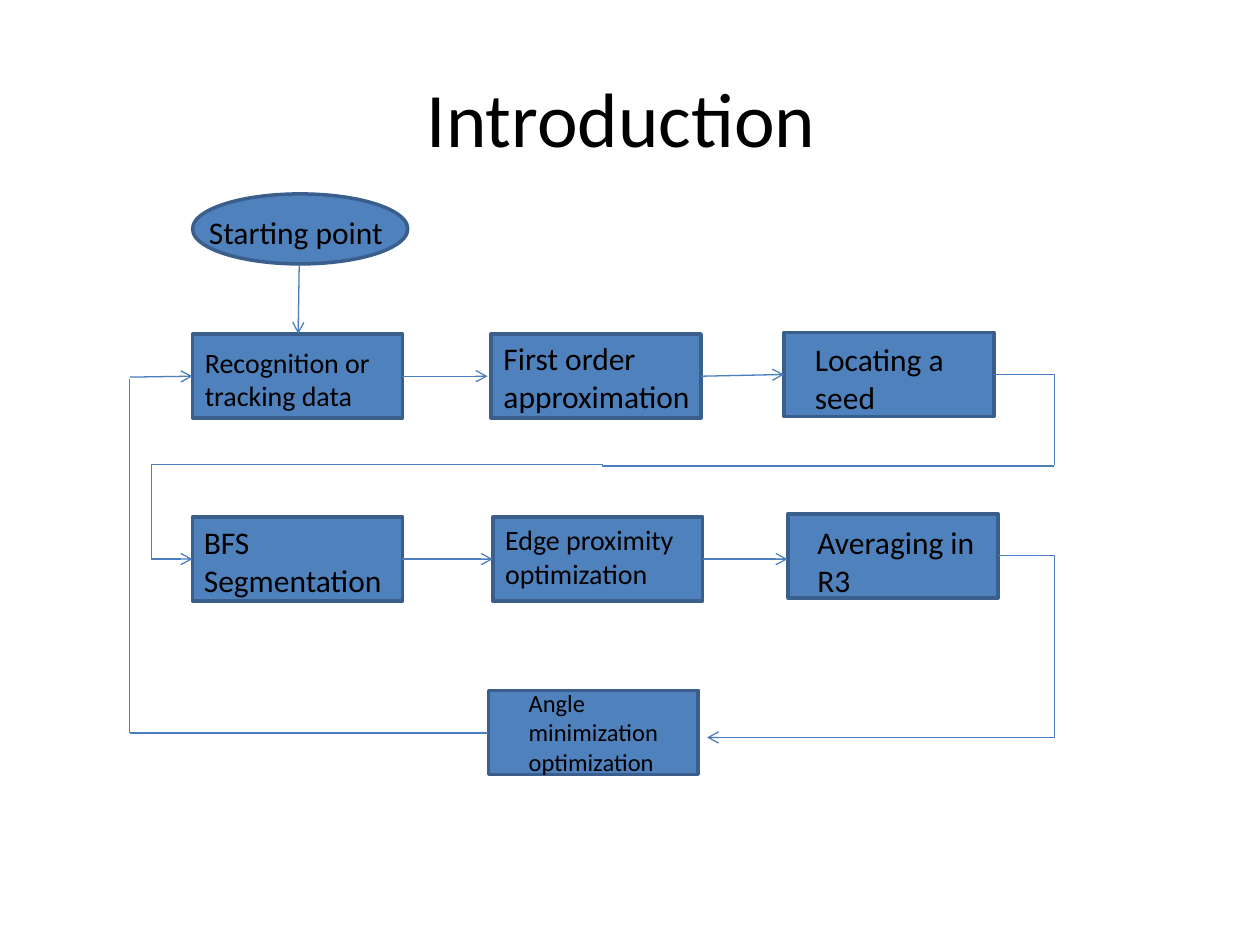
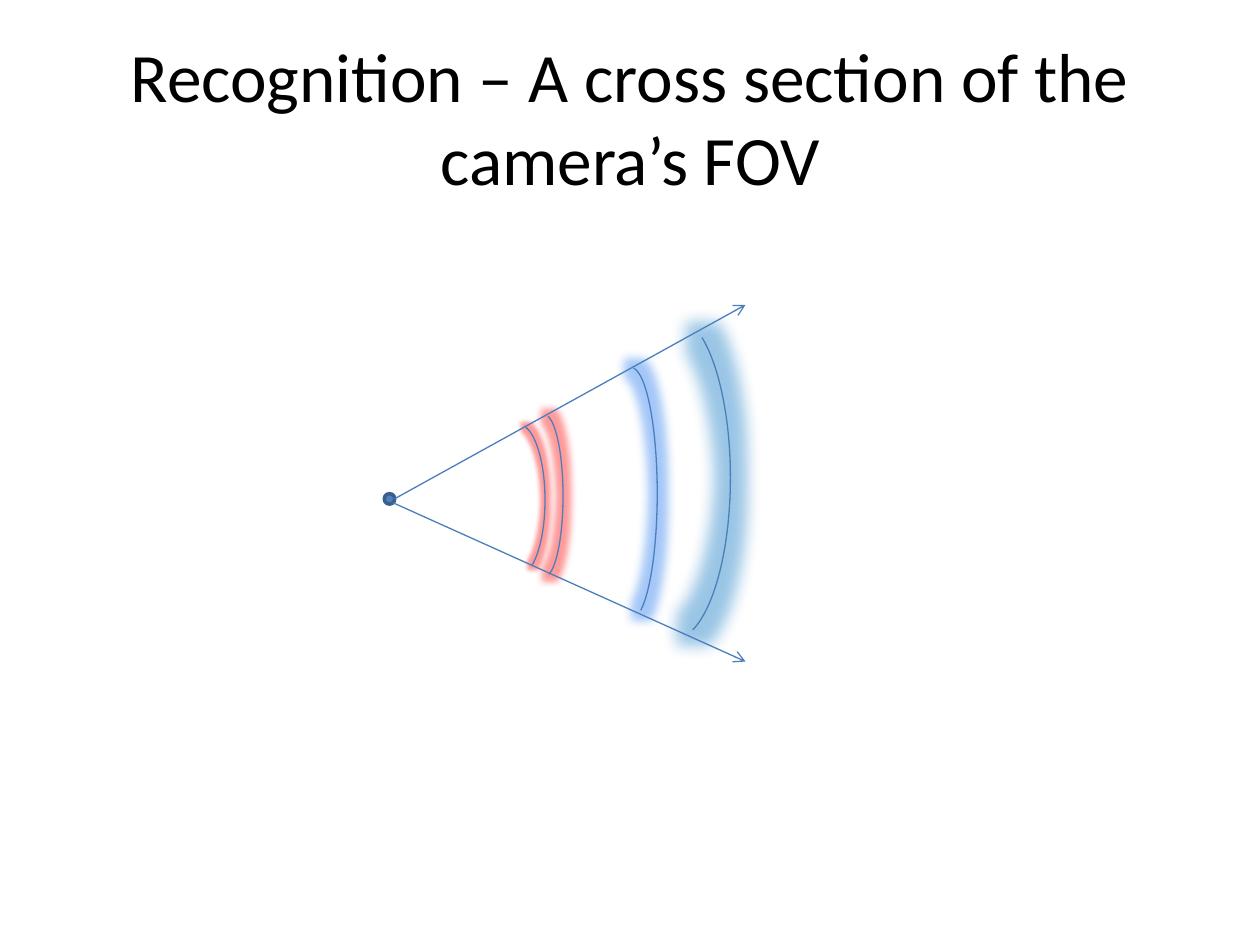
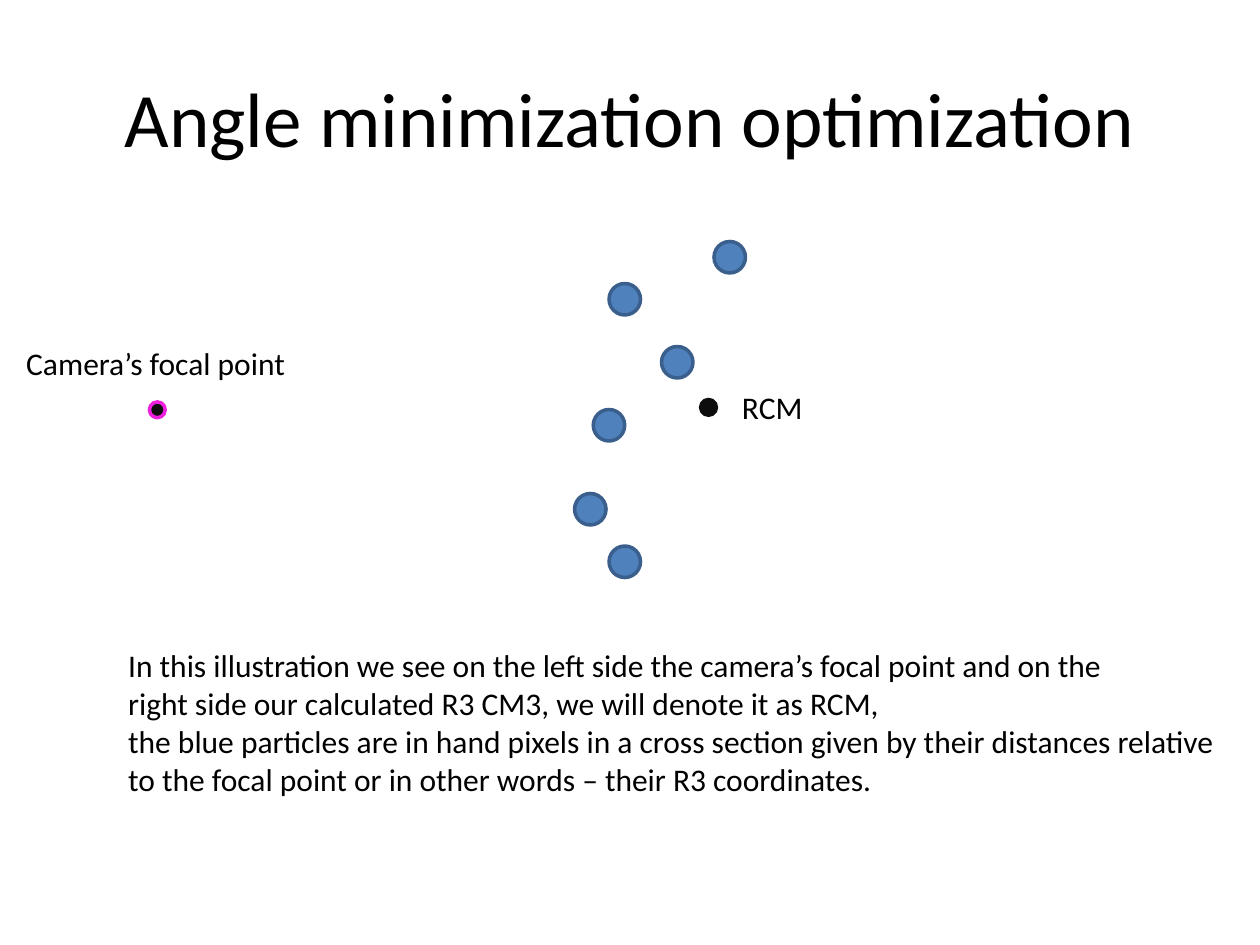
from dataclasses import dataclass

from lxml import etree
from pptx import Presentation
from pptx.dml.color import RGBColor
from pptx.enum.shapes import MSO_CONNECTOR, MSO_SHAPE
from pptx.enum.text import MSO_ANCHOR, MSO_AUTO_SIZE, PP_ALIGN
from pptx.oxml.ns import qn
from pptx.util import Pt

RECT, OVAL, ARC = MSO_SHAPE.RECTANGLE, MSO_SHAPE.OVAL, MSO_SHAPE.ARC
LINE, ELBOW = MSO_CONNECTOR.STRAIGHT, MSO_CONNECTOR.ELBOW
CENTER, MIDDLE = PP_ALIGN.CENTER, MSO_ANCHOR.MIDDLE
FIXED, GROW = MSO_AUTO_SIZE.NONE, MSO_AUTO_SIZE.SHAPE_TO_FIT_TEXT
TITLE_ONLY = 5


@dataclass(frozen=True)
class Theme:
    font: str = "Calibri"
    ink: str = "000000"
    fill: str = "4F81BD"
    edge: str = "3A5F8C"
    wire: str = "4B7EBC"
    dot: str = "0D0D0D"
    ring: str = "EC20DD"
    near: str = "FF0000"
    mid: str = "1F75EE"
    far: str = "0070C0"
    head: float = 44
    tight: float = 39.6
    body: float = 18
    small: float = 16
    tiny: float = 14
    thick: float = 2
    thin: float = 0.75


class Deck:
    def __init__(self, theme):
        self.theme = theme
        self.prs = Presentation()
        self.prs.slide_width, self.prs.slide_height = Pt(720), Pt(540)
        self.slide = None

    def words(self, para, text, size):
        """Add text run by run, with a line break at each newline."""
        for i, part in enumerate(text.split("\n")):
            if i:
                para.add_line_break()
            run = para.add_run()
            run.text = part
            font = run.font
            font.name, font.size = self.theme.font, Pt(size)
            font.color.rgb = RGBColor.from_string(self.theme.ink)

    def stroke(self, line, color, width):
        line.color.rgb = RGBColor.from_string(color)
        line.width = Pt(width)

    def page(self, title, size):
        layout = self.prs.slide_layouts[TITLE_ONLY]
        self.slide = self.prs.slides.add_slide(layout)
        box = self.slide.shapes.title
        box.left, box.top, box.width, box.height = Pt(36), Pt(21.6), Pt(648), Pt(90)
        frame = box.text_frame
        frame.auto_size, frame.vertical_anchor = FIXED, MIDDLE
        para = frame.paragraphs[0]
        para.alignment = CENTER
        self.words(para, title, size)

    def shape(self, kind, x, y, w, h, fill=None, edge=None):
        item = self.slide.shapes.add_shape(kind, Pt(x), Pt(y), Pt(w), Pt(h))
        item.shadow.inherit = False
        item.fill.solid()
        item.fill.fore_color.rgb = RGBColor.from_string(fill or self.theme.fill)
        self.stroke(item.line, edge or self.theme.edge, self.theme.thick)

    def arc(self, x, y, w, h, start, end, glow, blur):
        """Draw an arc between two angles in degrees, with a soft glow."""
        item = self.slide.shapes.add_shape(ARC, Pt(x), Pt(y), Pt(w), Pt(h))
        item.adjustments[0], item.adjustments[1] = start * 0.6, end * 0.6
        item.fill.background()
        self.stroke(item.line, self.theme.wire, self.theme.thin)
        item.shadow.inherit = False
        effects = item._element.spPr.find(qn("a:effectLst"))
        halo = etree.SubElement(effects, qn("a:glow"), rad=str(Pt(blur)))
        color = etree.SubElement(halo, qn("a:srgbClr"), val=glow)
        etree.SubElement(color, qn("a:alpha"), val="40000")

    def label(self, text, x, y, w, size, lines=1, wrap=True):
        high = lines * size * 1.2 + 7.2
        box = self.slide.shapes.add_textbox(Pt(x), Pt(y), Pt(w), Pt(high))
        frame = box.text_frame
        frame.word_wrap, frame.auto_size = wrap, GROW
        self.words(frame.paragraphs[0], text, size)

    def wire(self, x1, y1, x2, y2, tip="", bend=""):
        """Join two points; tip is headEnd or tailEnd, bend a preset name."""
        item = self.slide.shapes.add_connector(
            ELBOW if bend else LINE, Pt(x1), Pt(y1), Pt(x2), Pt(y2))
        self.stroke(item.line, self.theme.wire, self.theme.thin)
        props = item._element.spPr
        if bend:
            props.find(qn("a:prstGeom")).set("prst", bend)
        if tip:
            etree.SubElement(props.find(qn("a:ln")), qn("a:" + tip), type="arrow")
        etree.SubElement(props, qn("a:effectLst"))


def flow(deck):
    theme = deck.theme
    deck.page("Introduction ", theme.head)
    # Step: box left and top, text shift, text width, size, line count
    steps = [
        ("Recognition or tracking data", 110, 190.8, 0, 2.9, 120, theme.small, 2),
        ("First order approximation", 280.6, 190.8, 0, -0.7, 135, theme.body, 2),
        ("Locating a seed", 448, 190, 10.6, 0.8, 98, theme.body, 2),
        ("BFS Segmentation", 110, 295.4, -0.6, -0.2, 123, theme.body, 2),
        ("Edge proximity optimization", 281.6, 295.4, 0, -0.2, 123, theme.small, 2),
        ("Averaging in R3", 450.4, 293.6, 9.6, 1.6, 108, theme.body, 2),
        ("Angle minimization optimization", 279, 394.5, 16, -5, 96, theme.tiny, 3),
    ]
    for text, x, y, dx, dy, w, size, lines in steps:
        deck.shape(RECT, x, y, 120, 48)
        deck.label(text, x + dx, y + dy, w, size, lines)
    deck.shape(OVAL, 110, 110.8, 123, 40)
    deck.label("Starting point", 112.3, 118.1, 115.2, theme.body, wrap=False)

    arrows = [
        (171, 151.2, 170.4, 190.8), (230, 215, 278.6, 215),
        (400.6, 215, 448, 214), (230, 319.5, 281.6, 319.5),
        (401.6, 319.5, 450, 319.5), (602.6, 421.4, 404, 421.4),
        (74.2, 215.5, 110, 215),
    ]
    for ends in arrows:
        deck.wire(*ends, tip="tailEnd")
    deck.wire(568, 214, 602.6, 265.7, bend="bentConnector2")
    deck.wire(602.6, 266.4, 86.4, 265.5, bend="bentConnector3")
    deck.wire(110, 319.5, 86.4, 265.5, tip="headEnd", bend="bentConnector2")
    deck.wire(570.4, 317.5, 602.6, 421.4, bend="bentConnector2")
    deck.wire(279, 418.8, 74.2, 418.8)
    deck.wire(74.2, 418.8, 74.2, 216.5)


def view(deck):
    theme = deck.theme
    deck.page("Recognition – A cross section of the camera’s FOV", theme.tight)
    deck.shape(OVAL, 219.6, 282.1, 6, 6)
    deck.arc(281.5, 242.6, 30, 86.4, 275.6, 78.3, theme.near, 5)
    deck.arc(300.2, 236.9, 21.6, 92.9, 272.78, 86.39, theme.near, 8)
    deck.arc(351.4, 180, 66, 185.8, 281.85, 82.45, theme.far, 18)
    deck.arc(345.6, 210, 30, 144, 271.21, 85.22, theme.mid, 11)
    deck.wire(225.4, 285.1, 426, 174.2, tip="tailEnd")
    deck.wire(224.6, 287.3, 426, 378, tip="tailEnd")


def angle(deck):
    theme = deck.theme
    deck.page("Angle minimization optimization", theme.head)
    pixels = [(348, 162), (378, 198), (348, 312),
              (328.3, 282), (408, 138), (339, 234)]
    for x, y in pixels:
        deck.shape(OVAL, x, y, 18, 18)
    deck.shape(OVAL, 400.4, 228.3, 9, 9, theme.dot, theme.dot)
    deck.shape(OVAL, 85.4, 229.7, 9, 9, theme.dot, theme.ring)
    deck.label("Camera’s focal point", 7.9, 193, 164.2, theme.body, wrap=False)
    deck.label("RCM", 416.9, 218.2, 49.7, theme.body, wrap=False)
    deck.label(
        "In this illustration we see on the left side the camera’s focal point and on the\n"
        "right side our calculated R3 CM3, we will denote it as RCM,\n"
        "the blue particles are in hand pixels in a cross section given by their distances relative\n"
        "to the focal point or in other words – their R3 coordinates.",
        66.2, 365.8, 643, theme.body, 4, wrap=False)


def main():
    deck = Deck(Theme())
    flow(deck)
    view(deck)
    angle(deck)
    deck.prs.save("out.pptx")


if __name__ == "__main__":
    main()
